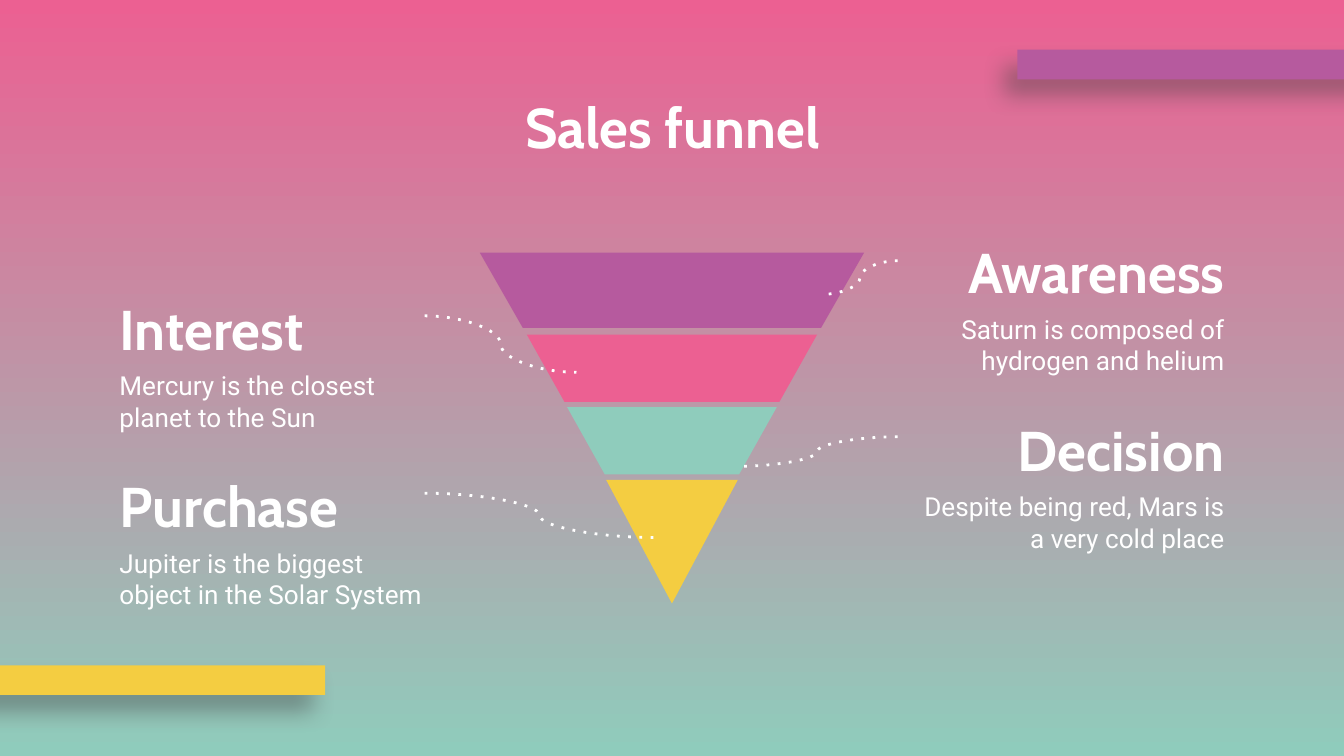
"""Build a sales funnel slide with four labelled stages."""
from typing import NamedTuple

from lxml import etree
from pptx import Presentation
from pptx.dml.color import RGBColor
from pptx.enum.dml import MSO_LINE
from pptx.enum.shapes import MSO_CONNECTOR, MSO_SHAPE
from pptx.enum.text import MSO_ANCHOR, MSO_AUTO_SIZE, PP_ALIGN
from pptx.oxml.ns import qn
from pptx.util import Inches, Pt

RECT = MSO_SHAPE.RECTANGLE
CURVE = MSO_CONNECTOR.CURVE
DOT = MSO_LINE.ROUND_DOT
TOP = MSO_ANCHOR.TOP
FIXED = MSO_AUTO_SIZE.NONE
LEFT, MID, RIGHT = PP_ALIGN.LEFT, PP_ALIGN.CENTER, PP_ALIGN.RIGHT

PINK, MINT, PLUM, GOLD, WHITE = "EC6092", "8FCCBC", "B65A9E", "F4CD41", "FFFFFF"
HEAD = {"name": "Cabin", "size": Pt(30), "bold": True}
BODY = {"name": "Roboto", "size": Pt(14), "bold": False}
SHADE = {"blurRad": Pt(12.4), "dist": Pt(11.2), "dir": 129 * 60000,
         "algn": "bl", "rotWithShape": 0}
AXIS = 5


class Bar(NamedTuple):
    left: float
    top: float
    color: str


class Band(NamedTuple):
    top: float
    base: float
    wide: float
    slim: float
    color: str


class Stage(NamedTuple):
    name: str
    note: str
    left: float
    top: float
    width: float
    align: PP_ALIGN


class Link(NamedTuple):
    x: float
    y: float
    end_x: float
    end_y: float


BARS = [Bar(-0.48, 4.95, GOLD), Bar(7.57, 0.37, PLUM)]
BANDS = [
    Band(3.03, 3.53, 0.78, 0.5, MINT),
    Band(3.57, 4.49, 0.49, 0, GOLD),
    Band(1.88, 2.44, 1.43, 1.11, PLUM),
    Band(2.49, 2.99, 1.08, 0.8, PINK),
]
STAGES = [
    Stage("Interest", "Mercury is the closest planet to the Sun", 0.79, 2.09, 2.37, LEFT),
    Stage("Awareness", "Saturn is composed of hydrogen and helium", 6.68, 1.67, 2.53, RIGHT),
    Stage("Purchase", "Jupiter is the biggest object in the Solar System", 0.79, 3.41, 2.37, LEFT),
    Stage("Decision", "Despite being red, Mars is a very cold place", 6.68, 2.99, 2.53, RIGHT),
]
LINKS = [
    Link(6.68, 1.94, 6.12, 2.19),
    Link(3.16, 2.35, 4.29, 2.77),
    Link(3.16, 3.67, 4.87, 4),
    Link(6.68, 3.25, 5.48, 3.47),
]


def tint(code: str) -> RGBColor:
    return RGBColor.from_string(code)


def paint(shape, color: str) -> None:
    shape.fill.solid()
    shape.fill.fore_color.rgb = tint(color)
    shape.line.fill.background()
    shape.shadow.inherit = False


def write(box, text: str, font: dict, align: PP_ALIGN) -> None:
    frame = box.text_frame
    frame.text = text
    style = {"word_wrap": True, "auto_size": FIXED, "vertical_anchor": TOP}
    for side in ("left", "top", "right", "bottom"):
        style[f"margin_{side}"] = Inches(0.1)
    for key, value in style.items():
        setattr(frame, key, value)
    line = frame.paragraphs[0]
    line.alignment = align
    run = line.runs[0]
    for key, value in font.items():
        setattr(run.font, key, value)
    run.font.color.rgb = tint(WHITE)


def add_bar(slide, bar: Bar) -> None:
    shape = slide.shapes.add_shape(
        RECT, Inches(bar.left), Inches(bar.top), Inches(2.9), Inches(0.22))
    paint(shape, bar.color)
    glow = shape.element.spPr.find(qn("a:effectLst"))
    cast = etree.SubElement(glow, qn("a:outerShdw"))
    for key, value in SHADE.items():
        cast.set(key, str(value))
    hue = etree.SubElement(cast, qn("a:srgbClr"), val="434343")
    etree.SubElement(hue, qn("a:alpha"), val="43000")


def add_band(group, band: Band) -> None:
    spots = [
        (AXIS - band.wide, band.top),
        (AXIS + band.wide, band.top),
        (AXIS + band.slim, band.base),
        (AXIS - band.slim, band.base),
    ]
    start, *rest = [(Inches(x), Inches(y)) for x, y in spots]
    pen = group.shapes.build_freeform(*start)
    pen.add_line_segments(rest)
    paint(pen.convert_to_shape(), band.color)


def add_stage(slide, stage: Stage) -> None:
    rows = [
        (stage.note, BODY, stage.top + 0.56, 2.53, 0.76),
        (stage.name, HEAD, stage.top, stage.width, 0.52),
    ]
    for text, font, top, width, height in rows:
        box = slide.shapes.add_textbox(
            Inches(stage.left), Inches(top), Inches(width), Inches(height))
        write(box, text, font, stage.align)


def add_link(slide, link: Link) -> None:
    wire = slide.shapes.add_connector(CURVE, *(Inches(v) for v in link))
    wire.line.color.rgb = tint(WHITE)
    wire.line.width = Pt(1.5)
    wire.line.dash_style = DOT
    props = wire.element.spPr
    props.find(".//" + qn("a:prstDash")).set("val", "dot")
    etree.SubElement(props, qn("a:effectLst"))


def main() -> None:
    deck = Presentation()
    deck.slide_width = Inches(10)
    deck.slide_height = Inches(10) * 9 // 16
    slide = deck.slides.add_slide(deck.slide_layouts[5])
    back = slide.background.fill
    back.gradient()
    back.gradient_angle = 270
    for stop, color in zip(back.gradient_stops, (PINK, MINT)):
        stop.color.rgb = tint(color)
    title = slide.shapes.title
    place = {"left": 0.79, "top": 0.59, "width": 8.43, "height": 0.52}
    for key, value in place.items():
        setattr(title, key, Inches(value))
    write(title, "Sales funnel", HEAD, MID)
    for bar in BARS:
        add_bar(slide, bar)
    for stage in STAGES:
        add_stage(slide, stage)
    funnel = slide.shapes.add_group_shape()
    for band in BANDS:
        add_band(funnel, band)
    for link in LINKS:
        add_link(slide, link)
    deck.save("out.pptx")


if __name__ == "__main__":
    main()
